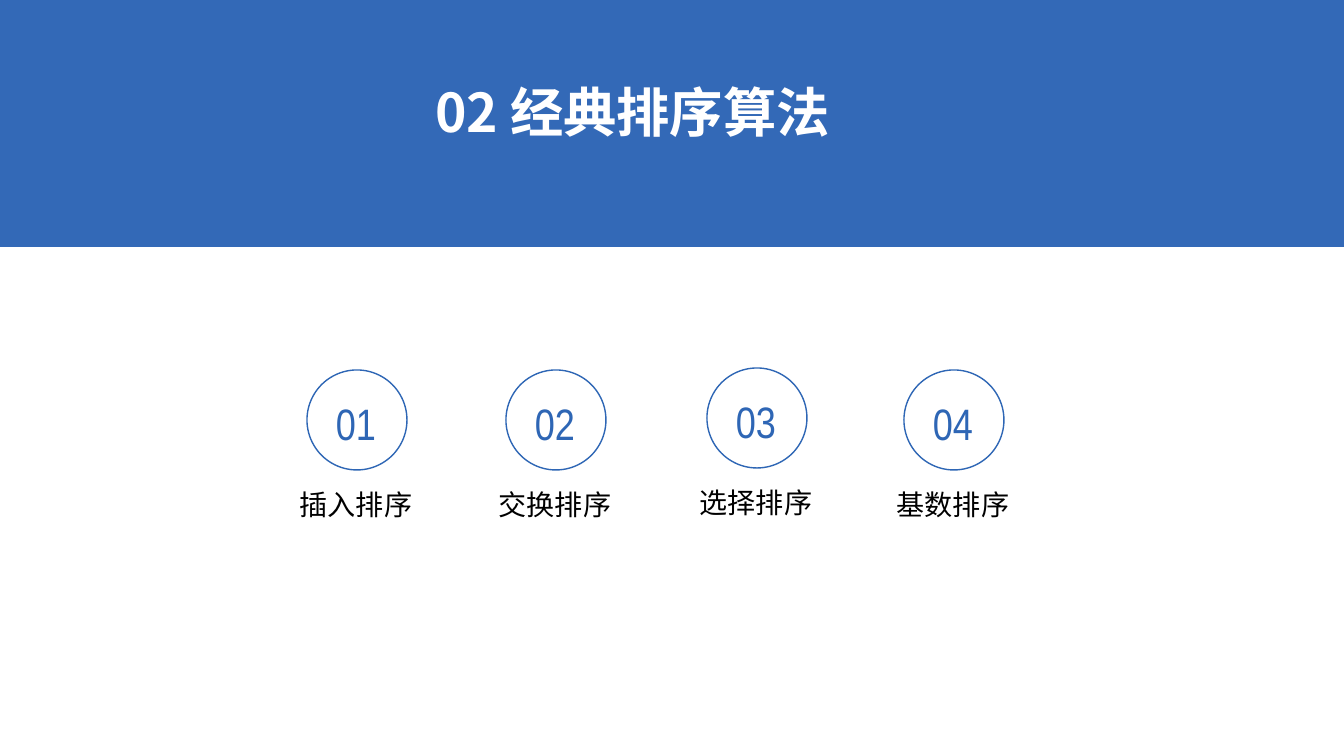
from lxml import etree
from pptx import Presentation, util as u
from pptx.dml.color import RGBColor
from pptx.enum import shapes, text
from pptx.oxml.ns import qn

NAVY = RGBColor(0x00, 0x44, 0xA5)
BLUE = RGBColor(0x2E, 0x66, 0xB5)
WHITE = RGBColor(0xFF, 0xFF, 0xFF)
BLACK = RGBColor(0x00, 0x00, 0x00)
SANS = "Noto Sans CJK SC"
THIN = "Arial Narrow"

# Left and top of each circle, with its label
SORTS = [
    (307, 370, "插入排序"),
    (506, 370, "交换排序"),
    (707, 368, "选择排序"),
    (904, 370, "基数排序"),
]


def px(n):
    return u.Emu(round(n * 914400 / 100.8))


def place(shape, left, top, width, height):
    shape.left, shape.top = px(left), px(top)
    shape.width, shape.height = px(width), px(height)


def write(shape, words, size, color, font=SANS, bold=False, space=1.0,
          anchor=text.MSO_ANCHOR.TOP, inset=(0, 5)):
    frame = shape.text_frame
    frame.word_wrap = True
    frame.auto_size = text.MSO_AUTO_SIZE.NONE
    frame.vertical_anchor = anchor
    frame.margin_left = frame.margin_right = 0
    frame.margin_top, frame.margin_bottom = map(px, inset)
    para = frame.paragraphs[0]
    para.alignment = text.PP_ALIGN.CENTER
    para.line_spacing = space
    run = para.add_run()
    run.text = words
    run.font.size = u.Pt(size)
    run.font.bold = bold
    run.font.name = font
    run.font.color.rgb = color
    # East Asian glyphs use the same font
    east = etree.SubElement(run.font._element, qn("a:ea"))
    east.set("typeface", font)


def draw(parent, kind, box, fill, line=None):
    shape = parent.shapes.add_shape(kind, *map(px, box))
    shape.shadow.inherit = False
    shape.fill.solid()
    shape.fill.fore_color.rgb = fill
    if line is None:
        shape.line.fill.background()
    else:
        shape.line.color.rgb = line
        shape.line.width = u.Pt(1)
    return shape


def fade(shape, percent):
    color = shape._element.spPr.find(qn("a:solidFill"))[0]
    etree.SubElement(color, qn("a:alpha")).set("val", str(percent * 1000))


def add_sort(slide, num, left, top, name):
    group = slide.shapes.add_group_shape()
    draw(group, shapes.MSO_SHAPE.OVAL, (left, top, 100, 100), WHITE, BLUE)
    label = group.shapes.add_textbox(
        *map(px, (left - 85, top + 122, 268, 39)))
    write(label, name, 20.1, BLACK, space=0.88)
    count = group.shapes.add_textbox(
        *map(px, (left + 23, top + 43, 52, 36)))
    write(count, f"{num:02}", 31.4, BLUE, font=THIN, space=u.Pt(26),
          anchor=text.MSO_ANCHOR.MIDDLE, inset=(0, 0))


def main():
    deck = Presentation()
    deck.slide_width, deck.slide_height = px(1344), px(756)
    slide = deck.slides.add_slide(deck.slide_layouts[5])

    # Header band, behind the title
    band = draw(slide, shapes.MSO_SHAPE.RECTANGLE, (-1, 0, 1347, 247), NAVY)
    fade(band, 80)
    title = slide.shapes.title
    band._element.addnext(title._element)
    place(title, 418, 85, 417, 70)
    write(title, " 02 经典排序算法", 38.1, WHITE, bold=True, space=0.83,
          inset=(5, 0))

    # Numbered sorts
    for num, sort in enumerate(SORTS, 1):
        add_sort(slide, num, *sort)

    deck.save("out.pptx")


if __name__ == "__main__":
    main()
